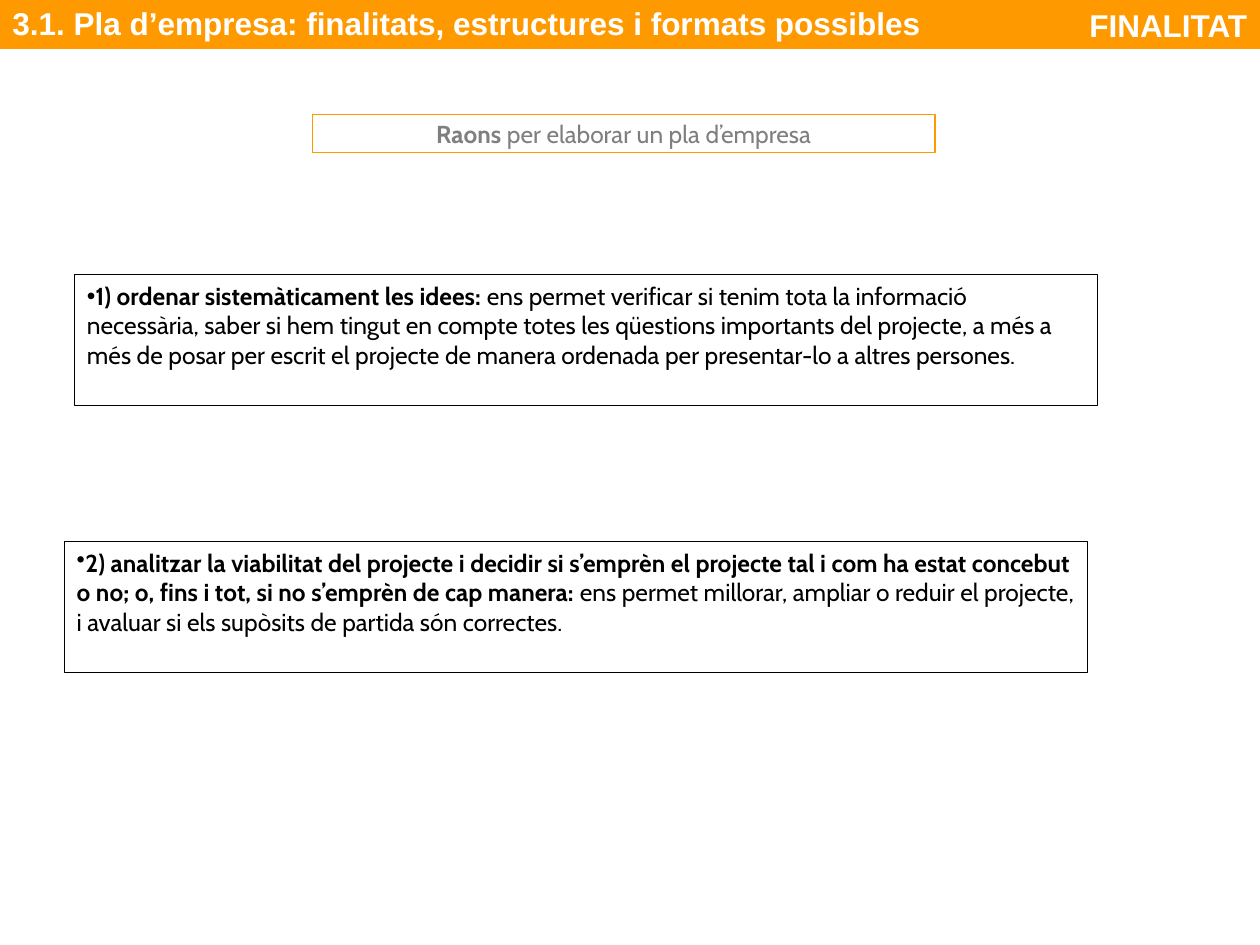
from lxml import etree
from pptx import Presentation
from pptx.dml.color import RGBColor
from pptx.enum.shapes import MSO_SHAPE
from pptx.enum.text import MSO_ANCHOR, MSO_AUTO_SIZE, PP_ALIGN
from pptx.oxml.ns import qn
from pptx.util import Inches, Pt

RECTANGLE = MSO_SHAPE.RECTANGLE
TOP, MIDDLE = MSO_ANCHOR.TOP, MSO_ANCHOR.MIDDLE
LEFT, CENTER, RIGHT = PP_ALIGN.LEFT, PP_ALIGN.CENTER, PP_ALIGN.RIGHT
NO_FIT = MSO_AUTO_SIZE.NONE

WIDTH, HEIGHT = 10, 7.5
ORANGE, WHITE, BLACK, GRAY = "FF9900", "FFFFFF", "000000", "7F7F7F"
REASON_SIZE = (8.12, 1.04)

REASONS = [
    ("1) ordenar sistemàticament les idees: ",
     "ens permet verificar si tenim tota la informació necessària, saber si hem "
     "tingut en compte totes les qüestions importants del projecte, a més a més de "
     "posar per escrit el projecte de manera ordenada per presentar-lo a altres "
     "persones."),
    ("2) analitzar la viabilitat del projecte i decidir si s’emprèn el projecte tal i "
     "com ha estat concebut o no; o, fins i tot, si no s’emprèn de cap manera: ",
     "ens permet millorar, ampliar o reduir el projecte, i avaluar si els supòsits "
     "de partida són correctes."),
]


def color(value):
    return RGBColor.from_string(value)


def place(box, left, top, width, height):
    box.left, box.top = Inches(left), Inches(top)
    box.width, box.height = Inches(width), Inches(height)


def outline(box, line_color):
    box.line.color.rgb = color(line_color)
    box.line.width = Pt(0.75)


def write(box, bold_text, plain_text="", size=14, font="Cabin", ink=BLACK,
          align=LEFT, anchor=TOP):
    """Fill the box with one paragraph that opens in bold; return the paragraph."""
    frame = box.text_frame
    frame.word_wrap = True
    frame.auto_size = NO_FIT
    frame.vertical_anchor = anchor
    para = frame.paragraphs[0]
    para.alignment = align
    para.space_before = Pt(0)
    for text, bold in ((bold_text, True), (plain_text, False)):
        if text:
            span = para.add_run()
            span.text = text
            span.font.bold = bold
    para.font.size = Pt(size)
    para.font.name = font
    para.font.color.rgb = color(ink)
    for span in para.runs:
        span.font.size = Pt(size)
        span.font.name = font
        span.font.color.rgb = color(ink)
    return para


def set_bullet(para, symbol=None):
    """Give the paragraph a black bullet, or none, at the left margin."""
    properties = para._p.get_or_add_pPr()
    properties.set("marL", "0")
    properties.set("indent", str(-Inches(0.1) if symbol else 0))
    marks = []
    if symbol:
        bullet_color = etree.Element(qn("a:buClr"))
        etree.SubElement(bullet_color, qn("a:srgbClr"), val=BLACK)
        marks = [bullet_color, etree.Element(qn("a:buChar"), char=symbol)]
    else:
        marks = [etree.Element(qn("a:buNone"))]
    following = properties.find(qn("a:defRPr"))
    for mark in marks:
        if following is None:
            properties.append(mark)
        else:
            following.addprevious(mark)


def add_header(page):
    bar = page.shapes.add_shape(RECTANGLE, 0, 0, 0, 0)
    place(bar, 0, -0.01, WIDTH, 0.39)
    bar.shadow.inherit = False
    bar.fill.solid()
    bar.fill.fore_color.rgb = color(ORANGE)
    outline(bar, ORANGE)
    write(bar, "3.1. Pla d’empresa: finalitats, estructures i formats possibles",
          size=18, font="Arial", ink=WHITE, anchor=MIDDLE)
    page.shapes._spTree.insert(2, bar._element)  # behind the placeholders


def format_reason(box, left, top, texts):
    place(box, left, top, *REASON_SIZE)
    outline(box, BLACK)
    set_bullet(write(box, *texts), "•")


def main():
    deck = Presentation()
    deck.slide_width, deck.slide_height = Inches(WIDTH), Inches(HEIGHT)
    page = deck.slides.add_slide(deck.slide_layouts.get_by_name("Two Content"))
    title, first_reason, section = list(page.placeholders)[:3]

    add_header(page)

    place(title, 2.48, 0.91, 4.94, 0.3)
    outline(title, ORANGE)
    write(title, "Raons", " per elaborar un pla d’empresa", ink=GRAY,
          align=CENTER, anchor=MIDDLE)

    format_reason(first_reason, 0.59, 2.18, REASONS[0])

    place(section, 7.27, 0, 2.73, 1.31)
    set_bullet(write(section, "FINALITAT", size=18, font="Arial", ink=WHITE,
                     align=RIGHT))

    second_reason = page.shapes.add_textbox(0, 0, 0, 0)
    format_reason(second_reason, 0.51, 4.3, REASONS[1])

    deck.save("out.pptx")


if __name__ == "__main__":
    main()
